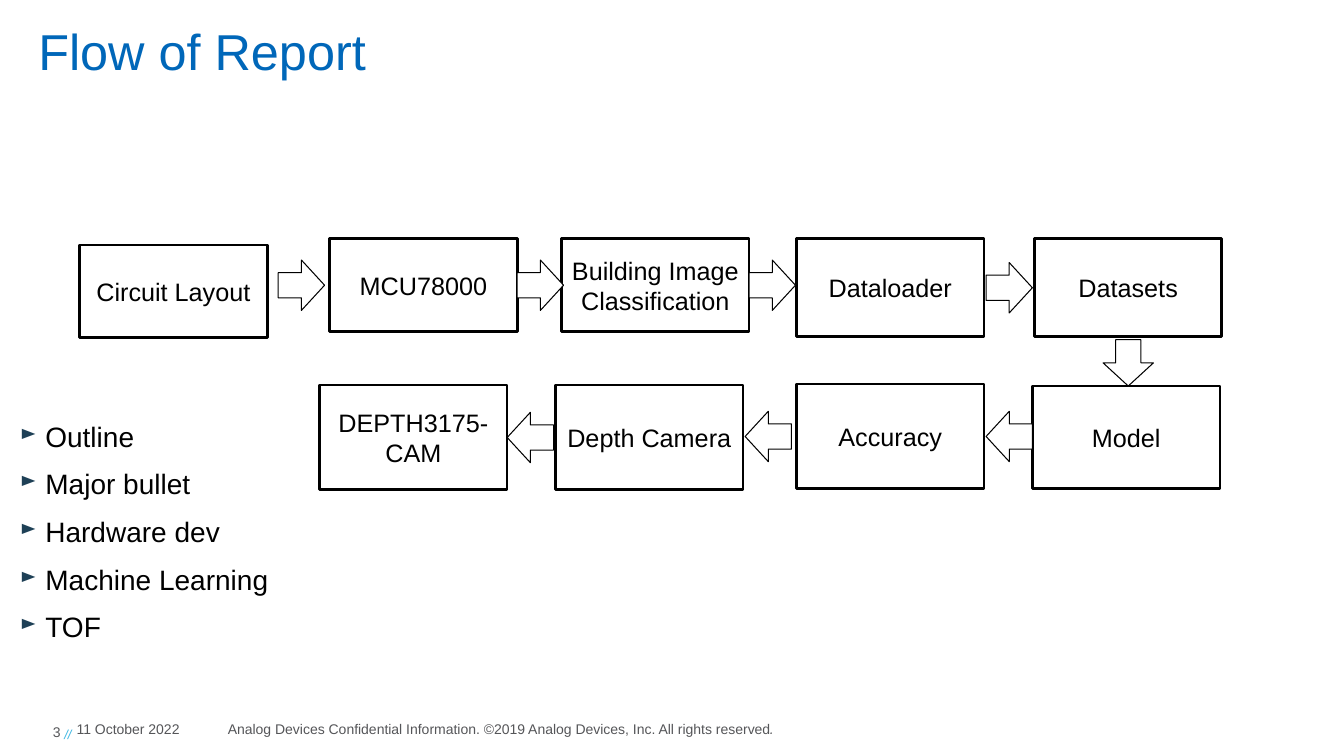
"""Build the Flow of Report slide: a process chain with an outline and a footer."""
from dataclasses import dataclass

from lxml.etree import SubElement
from pptx import Presentation
from pptx.dml.color import RGBColor
from pptx.enum.shapes import MSO_SHAPE as SHAPE
from pptx.enum.text import MSO_ANCHOR as ANCHOR, PP_ALIGN as ALIGN
from pptx.oxml.ns import qn
from pptx.util import Inches, Pt

TITLE = "Flow of Report"
OUTLINE = ["Outline", "Major bullet", "Hardware dev", "Machine Learning", "TOF"]
NOTICE = "Analog Devices Confidential Information. ©2019 Analog Devices, Inc. All rights reserved"
DATE = "11 October 2022"
NUMBER = "3 "

COLUMNS, ROWS = 1333, 750
BOX_W, ARROW_W, ARROW_H = 186, 46, 50
TURN = {"right": 0, "down": 90, "left": 180}

# label, left, top, height, direction of the arrow that follows, gap before it
STEPS = [
    ("Circuit Layout", 79, 243, 92, "right", 11),
    ("MCU78000", 327, 237, 92, "right", 0),
    ("Building Image Classification", 557, 237, 92, "right", 0),
    ("Dataloader", 790, 237, 97, "right", 2),
    ("Datasets", 1026, 237, 97, "down", 3),
    ("Model", 1024, 383, 102, "left", 0),
    ("Accuracy", 790, 381, 104, "left", 5),
    ("Depth Camera", 551, 382, 104, "left", 2),
    ("DEPTH3175-CAM", 317, 382, 104, None, 0),
]


@dataclass(frozen=True)
class Theme:
    font: str = "Arial"
    title: str = "0067B9"
    ink: str = "000000"
    paper: str = "FFFFFF"
    footer: str = "555659"
    slashes: str = "3CB7E3"
    bullet: str = "1E4056"
    title_size: int = 36
    outline_size: int = 20
    step_size: int = 18
    slash_size: int = 16
    footer_size: int = 10


THEME = Theme()


def grid(*cells):
    return [Inches(cell / 100) for cell in cells]


def add_run(p, text, *, size, color, italic=None, baseline=None):
    r = p.add_run()
    r.text = text
    r.font.name, r.font.size = THEME.font, Pt(size)
    r.font.color.rgb = RGBColor.from_string(color)
    r.font.italic = italic
    if baseline:
        r.font._element.set("baseline", str(baseline * 1000))


def add_text(s, at, *, text, size, color, align=ALIGN.LEFT, anchor=ANCHOR.MIDDLE, top=0, bottom=0):
    tf = s.shapes.add_textbox(*grid(*at)).text_frame
    tf.word_wrap, tf.vertical_anchor = True, anchor
    tf.margin_left = tf.margin_right = 0
    tf.margin_top, tf.margin_bottom = grid(top, bottom)
    tf.paragraphs[0].alignment = align
    add_run(tf.paragraphs[0], text, size=size, color=color)
    return tf


def add_bullet(p):
    pPr = p._p.get_or_add_pPr()
    pPr.set("marL", str(Inches(0.25)))
    pPr.set("indent", str(-Inches(0.25)))
    SubElement(SubElement(pPr, qn("a:buClr")), qn("a:srgbClr")).set("val", THEME.bullet)
    SubElement(pPr, qn("a:buSzPct")).set("val", "75000")
    SubElement(pPr, qn("a:buChar")).set("char", "►")


def add_block(s, kind, at, *, line):
    sp = s.shapes.add_shape(kind, *grid(*at))
    sp.shadow.inherit = False
    sp.fill.solid()
    sp.fill.fore_color.rgb = RGBColor.from_string(THEME.paper)
    sp.line.color.rgb = RGBColor.from_string(THEME.ink)
    sp.line.width = Pt(line)
    return sp


def add_step(s, label, left, top, height):
    tf = add_block(s, SHAPE.RECTANGLE, (left, top, BOX_W, height), line=2).text_frame
    tf.word_wrap, tf.vertical_anchor = True, ANCHOR.MIDDLE
    tf.paragraphs[0].alignment = ALIGN.CENTER
    add_run(tf.paragraphs[0], label, size=THEME.step_size, color=THEME.ink)


def add_arrow(s, step, following):
    _, left, top, height, direction, gap = step
    reach = gap + ARROW_W / 2
    middle = min(top + height / 2, following[2] + following[3] / 2)
    x, y = {
        "right": (left + BOX_W + reach, middle),
        "left": (left - reach, middle),
        "down": (left + BOX_W / 2, top + height + reach),
    }[direction]
    at = (x - ARROW_W / 2, y - ARROW_H / 2, ARROW_W, ARROW_H)
    add_block(s, SHAPE.RIGHT_ARROW, at, line=0.75).rotation = TURN[direction]


def add_footer(s):
    look = dict(size=THEME.footer_size, color=THEME.footer)
    notice = add_text(s, (226, 706, 647, 34), text=NOTICE, **look)
    add_run(notice.paragraphs[0], ".", italic=True, **look)
    number = add_text(s, (0, 706, 71, 34), text=NUMBER, align=ALIGN.RIGHT, **look)
    add_run(number.paragraphs[0], "//", size=THEME.slash_size, color=THEME.slashes,
            italic=True, baseline=-11)
    add_text(s, (76, 706, 117, 34), text=DATE, **look)


def add_outline(s):
    look = dict(size=THEME.outline_size, color=THEME.ink)
    tf = add_text(s, (20, 416, 466, 295), text=OUTLINE[0], anchor=ANCHOR.TOP, **look)
    add_bullet(tf.paragraphs[0])
    for item in OUTLINE[1:]:
        p = tf.add_paragraph()
        add_bullet(p)
        p.space_before = Pt(10)
        add_run(p, item, **look)


def main():
    prs = Presentation()
    prs.slide_width, prs.slide_height = grid(COLUMNS, ROWS)
    s = prs.slides.add_slide(prs.slide_layouts[6])
    add_text(s, (38, 0, 1116, 92), text=TITLE, size=THEME.title_size, color=THEME.title,
             anchor=ANCHOR.TOP, top=20, bottom=10)
    add_footer(s)
    for step in STEPS:
        add_step(s, *step[:4])
    for step, following in zip(STEPS, STEPS[1:]):
        add_arrow(s, step, following)
    add_outline(s)
    prs.save("out.pptx")


if __name__ == "__main__":
    main()
